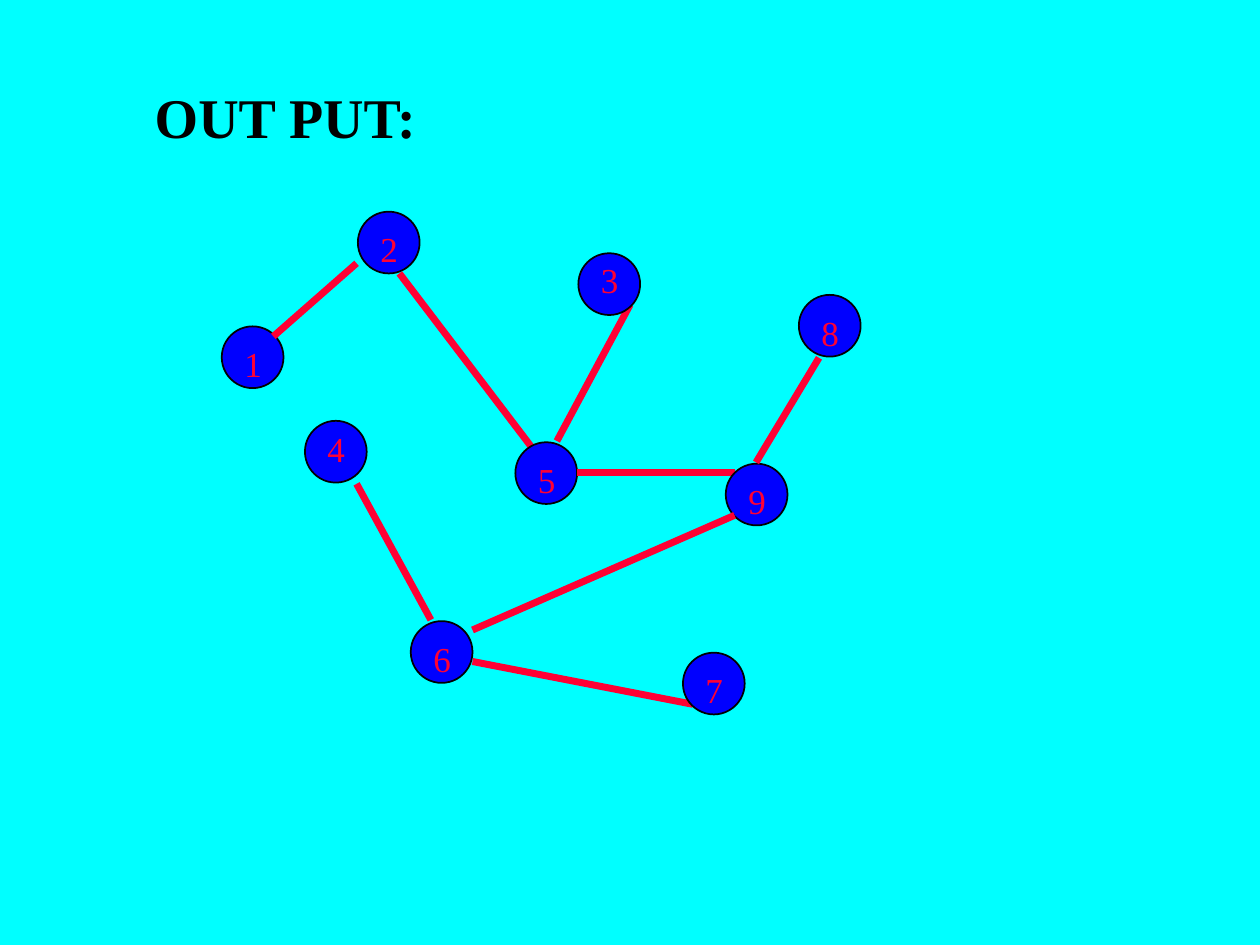
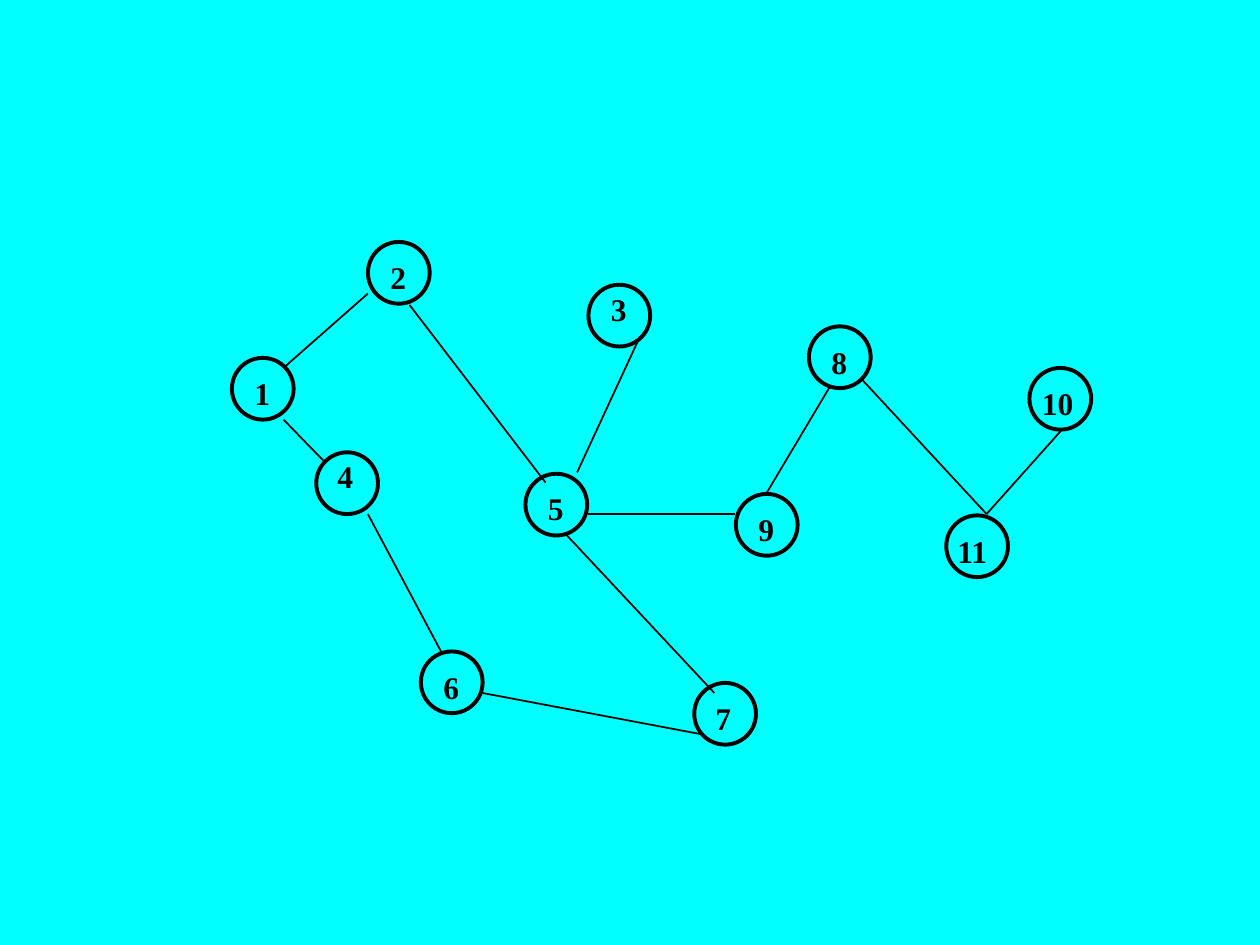
"""Draw two numbered graphs, each with its own style, on cyan slides."""
from dataclasses import dataclass
from itertools import zip_longest
from typing import NamedTuple

from lxml.etree import SubElement
from pptx import Presentation
from pptx.dml.color import RGBColor as Rgb
from pptx.enum.shapes import MSO_CONNECTOR as Link, MSO_SHAPE as Kind
from pptx.enum.text import MSO_AUTO_SIZE as Fit
from pptx.oxml.ns import qn
from pptx.util import Emu, Pt

SCALE = 9144


@dataclass(frozen=True)
class Look:
    fill: str | None
    rim: float
    edge: str
    width: float
    font: dict
    high: int


@dataclass(frozen=True)
class Theme:
    back: str
    ink: str
    face: str
    size: int
    title: dict
    solid: Look
    plain: Look


class Node(NamedTuple):
    text: str
    x: int
    y: int
    dx: int = 8
    dy: int = 8
    wide: int = 25


class Edge(NamedTuple):
    x1: int
    y1: int
    x2: int
    y2: int


INK, RED = "000000", "FF0033"
THEME = Theme(
    back="00FFFF", ink=INK, face="Times New Roman", size=49,
    title={"size": Pt(32), "bold": True, "color": INK},
    solid=Look("0000FF", 1, RED, 4, {"size": Pt(20), "bold": False, "color": RED}, 43),
    plain=Look(None, 2.25, INK, 1, {"size": Pt(18), "bold": True, "color": INK}, 40),
)

TREE_NODES = [
    Node("1", 176, 259), Node("2", 284, 168), Node("5", 409, 351),
    Node("9", 576, 368), Node("8", 634, 234), Node("6", 326, 493),
    Node("4", 242, 334, dy=0), Node("7", 542, 518), Node("3", 459, 201, dy=-1),
]
TREE_EDGES = [
    Edge(283, 209, 217, 267), Edge(317, 217, 425, 359), Edge(458, 375, 583, 375),
    Edge(650, 284, 600, 367), Edge(375, 500, 583, 409), Edge(283, 384, 342, 492),
    Edge(375, 525, 550, 559), Edge(500, 242, 442, 350),
]
NET_NODES = [
    Node("1", 184, 284), Node("2", 292, 192), Node("3", 467, 226, dy=-1),
    Node("8", 642, 259), Node("10", 817, 292, dx=0, wide=50),
    Node("4", 251, 359, dx=7, dy=-1), Node("5", 417, 376, dy=7),
    Node("9", 584, 392), Node("11", 751, 409, dx=-1, wide=83),
    Node("6", 334, 517), Node("7", 551, 542, dx=7),
]
NET_EDGES = [
    Edge(292, 233, 225, 292), Edge(325, 242, 433, 383), Edge(225, 333, 258, 367),
    Edge(292, 408, 350, 517), Edge(383, 550, 558, 583), Edge(508, 267, 458, 375),
    Edge(450, 425, 567, 550), Edge(658, 308, 608, 392), Edge(683, 300, 783, 408),
    Edge(783, 408, 842, 342), Edge(467, 408, 583, 408),
]


def px(*vals: int) -> list[Emu]:
    """Turn px lengths into EMU."""
    return [Emu(val * SCALE) for val in vals]


def stroke(line, color: str, width: float) -> None:
    """Set the colour and width of a line."""
    line.color.rgb = Rgb.from_string(color)
    line.width = Pt(width)


def write(slide, text: str, box: tuple[int, int, int, int], style: dict, lead: int = 0) -> None:
    """Add a text box, with a percentage of space before its paragraph."""
    frame = slide.shapes.add_textbox(*px(*box)).text_frame
    frame.word_wrap = True
    frame.auto_size = Fit.SHAPE_TO_FIT_TEXT
    para = frame.paragraphs[0]
    if lead:
        space = SubElement(para._p.get_or_add_pPr(), qn("a:spcBef"))
        SubElement(space, qn("a:spcPct"), val=str(lead * 1000))
    run = para.add_run()
    run.text = text
    run.font.name = THEME.face
    for key, val in style.items():
        if key == "color":
            run.font.color.rgb = Rgb.from_string(val)
        else:
            setattr(run.font, key, val)


def draw_node(slide, node: Node, look: Look) -> None:
    """Draw a circle and its number."""
    disc = slide.shapes.add_shape(Kind.OVAL, *px(node.x, node.y, THEME.size, THEME.size))
    disc.shadow.inherit = False
    if look.fill:
        disc.fill.solid()
        disc.fill.fore_color.rgb = Rgb.from_string(look.fill)
    else:
        disc.fill.background()
    stroke(disc.line, THEME.ink, look.rim)
    box = (node.x + node.dx, node.y + node.dy, node.wide, look.high)
    write(slide, node.text, box, look.font, lead=50)


def draw_edge(slide, edge: Edge, look: Look) -> None:
    """Draw a straight line between two nodes."""
    link = slide.shapes.add_connector(Link.STRAIGHT, *px(*edge))
    stroke(link.line, look.edge, look.width)
    SubElement(link._element.spPr, qn("a:effectLst"))


def draw_graph(deck, nodes: list[Node], edges: list[Edge], look: Look):
    """Add a slide whose nodes and edges stack in turn."""
    slide = deck.slides.add_slide(deck.slide_layouts[6])
    back = slide.background.fill
    back.solid()
    back.fore_color.rgb = Rgb.from_string(THEME.back)
    for node, edge in zip_longest(nodes, edges):
        if node:
            draw_node(slide, node, look)
        if edge:
            draw_edge(slide, edge, look)
    return slide


def main() -> None:
    """Build and save the deck."""
    deck = Presentation()
    deck.slide_width, deck.slide_height = px(1000, 750)
    tree = draw_graph(deck, TREE_NODES, TREE_EDGES, THEME.solid)
    write(tree, "OUT PUT:", (113, 61, 437, 64), THEME.title)
    draw_graph(deck, NET_NODES, NET_EDGES, THEME.plain)
    deck.save("out.pptx")


if __name__ == "__main__":
    main()
